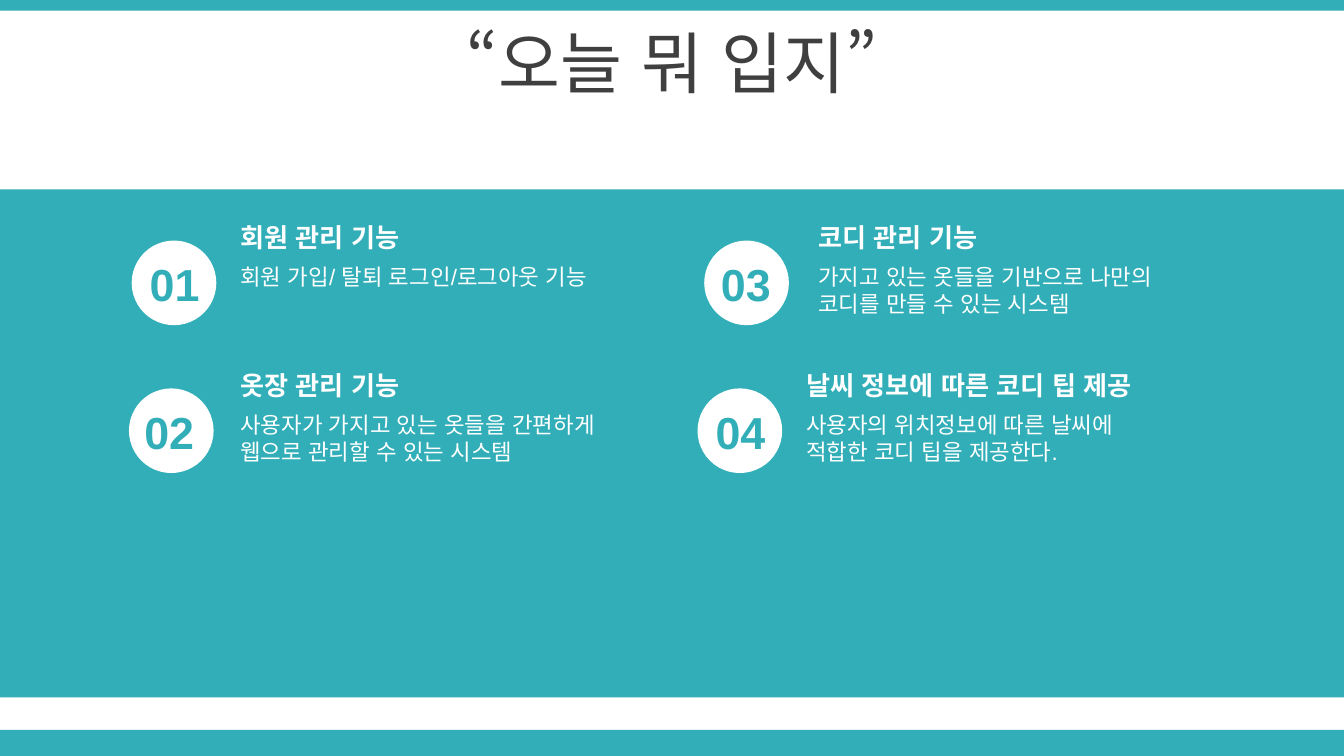
import pptx
import pptx.dml.color
import pptx.enum.lang
import pptx.enum.shapes
import pptx.enum.text
import pptx.util

TEAL = pptx.dml.color.RGBColor(0x32, 0xAE, 0xB8)
WHITE = pptx.dml.color.RGBColor(0xFF, 0xFF, 0xFF)
CHARCOAL = pptx.dml.color.RGBColor(0x3F, 0x3F, 0x3F)

# The slide is a grid of square cells
CELL = pptx.util.Inches(0.1)
COLUMNS, ROWS = 100, 56.25

LEFT = pptx.enum.text.PP_ALIGN.LEFT
CENTER = pptx.enum.text.PP_ALIGN.CENTER
RECTANGLE = pptx.enum.shapes.MSO_SHAPE.RECTANGLE
OVAL = pptx.enum.shapes.MSO_SHAPE.OVAL


def cells(*counts):
    return [round(count * CELL) for count in counts]


def write(frame, text, size=12, color=WHITE, bold=False, align=LEFT):
    frame.word_wrap = True
    paragraph = frame.paragraphs[0]
    paragraph.alignment = align
    run = paragraph.add_run()
    run.text = text
    run.font.name = "Arial"
    run.font.size = pptx.util.Pt(size)
    run.font.bold = bold
    run.font.color.rgb = color
    run.font.language_id = pptx.enum.lang.MSO_LANGUAGE_ID.KOREAN


class FeatureSlide:
    """Style and current slide; places are columns and rows of the grid."""

    badge_size = 6.3
    text_width = 29.1

    def __init__(self, deck):
        self.slide = deck.slides.add_slide(deck.slide_layouts[5])

    def title(self, text, *place):
        title = self.slide.shapes.title
        title.left, title.top, title.width, title.height = cells(*place)
        title.text_frame.vertical_anchor = pptx.enum.text.MSO_ANCHOR.MIDDLE
        title.text_frame.auto_size = pptx.enum.text.MSO_AUTO_SIZE.NONE
        write(title.text_frame, text, size=36, color=CHARCOAL, align=CENTER)

    def filled(self, kind, color, *place):
        shape = self.slide.shapes.add_shape(kind, *cells(*place))
        shape.shadow.inherit = False
        shape.fill.solid()
        shape.fill.fore_color.rgb = color
        shape.line.fill.background()

    def band(self, top, height):
        self.filled(RECTANGLE, TEAL, 0, top, COLUMNS, height)

    def label(self, text, *place, **style):
        box = self.slide.shapes.add_textbox(*cells(*place))
        write(box.text_frame, text, **style)
        box.text_frame.auto_size = pptx.enum.text.MSO_AUTO_SIZE.SHAPE_TO_FIT_TEXT

    def feature(self, number, top, badge_left, number_left, text_left,
                heading, description):
        self.filled(OVAL, WHITE, badge_left, top, self.badge_size, self.badge_size)
        self.label(description, text_left, top + 1.2, self.text_width, 7.1)
        self.label(heading, text_left, top - 1.9, self.text_width, 3.4,
                   size=14, bold=True)
        self.label(f"{number:02}", number_left, top + 0.7, 7, 5,
                   size=24, color=TEAL, bold=True, align=CENTER)


# Left edges of badge, number and text, then heading and description
FEATURES = [
    (9.8, 9.5, 16.9, "회원 관리 기능", "회원 가입/ 탈퇴 로그인/로그아웃 기능"),
    (9.6, 9.1, 16.9, "옷장 관리 기능",
     "사용자가 가지고 있는 옷들을 간편하게 웹으로 관리할 수 있는 시스템"),
    (52.4, 52, 59.9, "코디 관리 기능",
     "가지고 있는 옷들을 기반으로 나만의 코디를 만들 수 있는 시스템"),
    (51.9, 51.6, 59, "날씨 정보에 따른 코디 팁 제공",
     "사용자의 위치정보에 따른 날씨에 적합한 코디 팁을 제공한다."),
]
FIRST_ROW, ROW_STEP = 17.9, 11


def main():
    deck = pptx.Presentation()
    deck.slide_width, deck.slide_height = cells(COLUMNS, ROWS)
    page = FeatureSlide(deck)

    # Footer, header and main panel
    for top, height in [(54.3, 1.95), (0, 0.8), (14.1, 37.8)]:
        page.band(top, height)

    page.title("“오늘 뭐 입지”", 0, 1.4, COLUMNS, 6.3)

    # Features run down each column, two to a column
    for index, feature in enumerate(FEATURES):
        page.feature(index + 1, FIRST_ROW + index % 2 * ROW_STEP, *feature)

    deck.save("out.pptx")


if __name__ == "__main__":
    main()
